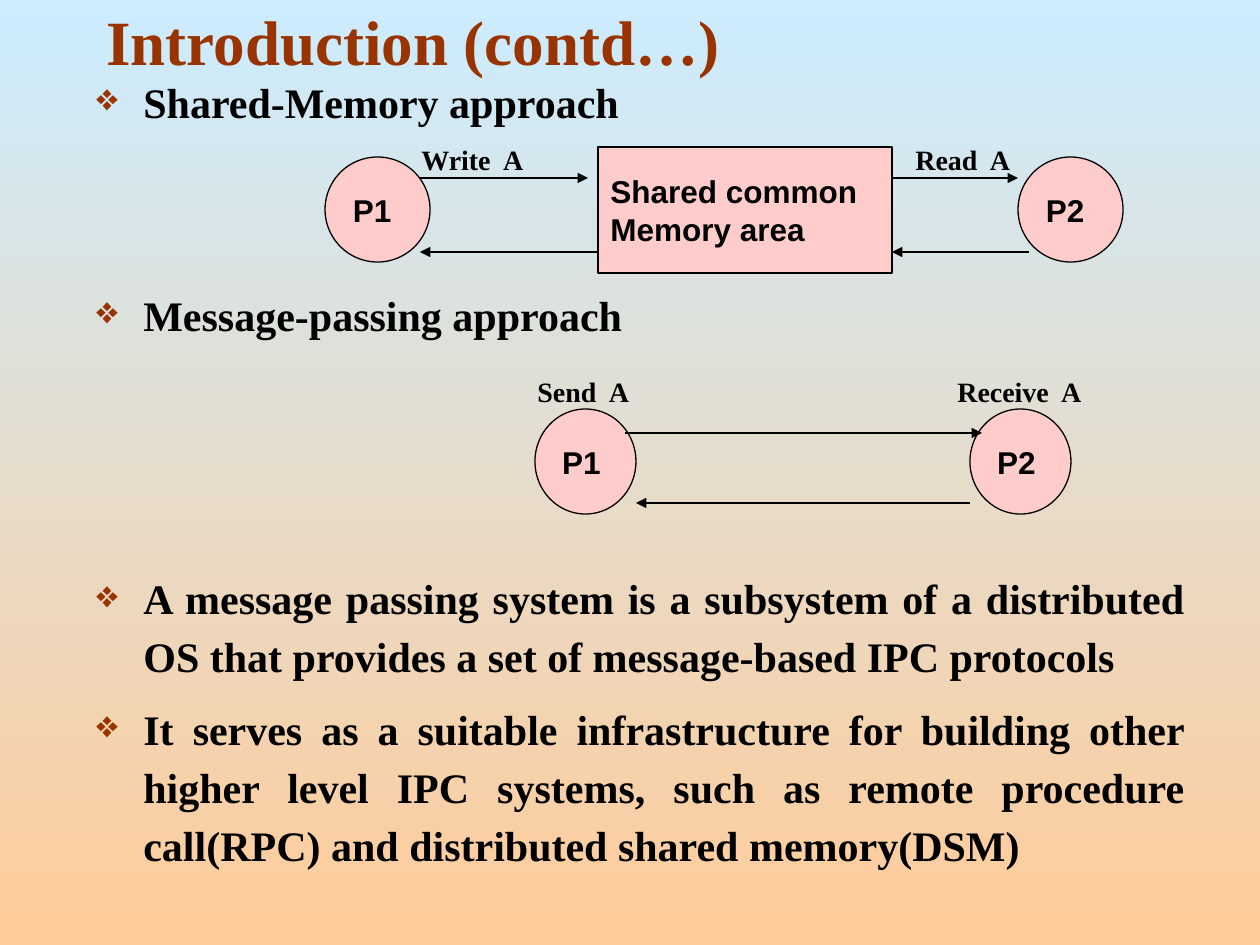
from lxml import etree
from pptx import Presentation, util as u
from pptx.dml.color import RGBColor
from pptx.enum import shapes, text
from pptx.oxml.ns import qn

PX_PER_INCH = 126
COLORS = {
    "sky": "CCECFF",
    "peach": "FFCC99",
    "rust": "993300",
    "pink": "FFCCCC",
    "black": "000000",
}
SERIF, SANS = "Times New Roman", "Arial"
BODY_SIZE = 24
LINE_SPACING = 1.15
BODY_GAP = 0.35 * BODY_SIZE
BLANK_LINE = 40.1  # one body line with its gap, in points


def px(length):
    return u.Emu(round(length * 914400 / PX_PER_INCH))


def rgb(name):
    return RGBColor.from_string(COLORS[name])


def set_background(slide):
    fill = slide.background.fill
    fill.gradient()
    fill.gradient_angle = 270
    for stop, position, name in zip(fill.gradient_stops, (0, 1), ("sky", "peach")):
        stop.position = position
        stop.color.rgb = rgb(name)


def write(paragraph, content, size=BODY_SIZE, font=SERIF, color="black",
          align=text.PP_ALIGN.LEFT):
    paragraph.text = content
    paragraph.alignment = align
    paragraph.font.size = u.Pt(size)
    paragraph.font.name = font
    paragraph.font.bold = True
    paragraph.font.color.rgb = rgb(color)


def add_box(slide, left, top, width, height, anchor=text.MSO_ANCHOR.TOP):
    box = slide.shapes.add_textbox(px(left), px(top), px(width), px(height))
    frame = box.text_frame
    frame.word_wrap = True
    frame.vertical_anchor = anchor
    return frame


def add_label(slide, content, left, top, width):
    write(add_box(slide, left, top, width, 46).paragraphs[0], content, size=16)


def add_bullet(paragraph):
    properties = paragraph._p.get_or_add_pPr()
    properties.set("marL", str(px(47)))
    properties.set("indent", str(-px(47)))
    color = etree.SubElement(properties, qn("a:buClr"))
    etree.SubElement(color, qn("a:srgbClr"), val=COLORS["rust"])
    etree.SubElement(properties, qn("a:buSzPct"), val="90000")
    etree.SubElement(properties, qn("a:buChar"), char="❖")


def add_bullets(frame, items):
    for index, (content, blank_lines) in enumerate(items):
        paragraph = frame.add_paragraph() if index else frame.paragraphs[0]
        add_bullet(paragraph)
        paragraph.line_spacing = LINE_SPACING
        if index:
            paragraph.space_before = u.Pt(round(BODY_GAP + blank_lines * BLANK_LINE, 1))
        write(paragraph, content, align=text.PP_ALIGN.JUSTIFY)


def add_node(slide, kind, lines, left, top, width, height):
    shape = slide.shapes.add_shape(kind, px(left), px(top), px(width), px(height))
    shape.shadow.inherit = False
    shape.fill.solid()
    shape.fill.fore_color.rgb = rgb("pink")
    shape.line.color.rgb = rgb("black")
    shape.line.width = u.Pt(0.75)
    frame = shape.text_frame
    frame.word_wrap = True
    frame.vertical_anchor = text.MSO_ANCHOR.MIDDLE
    for index, line in enumerate(lines):
        paragraph = frame.add_paragraph() if index else frame.paragraphs[0]
        write(paragraph, line, size=18, font=SANS)


def add_arrow(slide, start, end, y):
    arrow = slide.shapes.add_connector(
        shapes.MSO_CONNECTOR.STRAIGHT, px(start), px(y), px(end), px(y))
    arrow.line.color.rgb = rgb("black")
    arrow.line.width = u.Pt(0.75)
    etree.SubElement(arrow.line._get_or_add_ln(), qn("a:tailEnd"), type="triangle")
    etree.SubElement(arrow._element.spPr, qn("a:effectLst"))


def add_shared_memory_diagram(slide):
    for name, left in (("P1", 325), ("P2", 1018)):
        add_node(slide, shapes.MSO_SHAPE.OVAL, [name], left, 157, 105, 105)
    add_node(slide, shapes.MSO_SHAPE.RECTANGLE, ["Shared common", "Memory area"],
             598, 147, 294, 126)
    for start, end, y in ((420, 588, 178), (598, 420, 252),
                          (892, 1018, 178), (1029, 892, 252)):
        add_arrow(slide, start, end, y)
    add_label(slide, "Write  A", 409, 136, 147)
    add_label(slide, "Read  A", 903, 136, 147)


def add_message_passing_diagram(slide):
    for name, left in (("P1", 535), ("P2", 970)):
        add_node(slide, shapes.MSO_SHAPE.OVAL, [name], left, 409, 101, 105)
    add_arrow(slide, 625, 982, 433)
    add_arrow(slide, 970, 636, 503)
    add_label(slide, "Send  A", 525, 368, 147)
    add_label(slide, "Receive  A", 945, 368, 158)


def main():
    presentation = Presentation()
    presentation.slide_width, presentation.slide_height = px(1260), px(945)
    slide = presentation.slides.add_slide(presentation.slide_layouts[6])
    set_background(slide)

    # Title
    title = add_box(slide, 94, 0, 1113, 84, anchor=text.MSO_ANCHOR.BOTTOM)
    write(title.paragraphs[0], "Introduction (contd…)", size=36, color="rust")

    # Bullets, each with the number of lines left free above it for a diagram
    add_bullets(add_box(slide, 84, 63, 1113, 819), [
        ("Shared-Memory approach", 0),
        ("Message-passing approach", 2),
        ("A message passing system is a subsystem of a distributed OS that "
         "provides a set of message-based IPC protocols", 3),
        ("It serves as a suitable infrastructure for building other higher level "
         "IPC systems, such as remote procedure call(RPC) and distributed shared "
         "memory(DSM)", 0),
    ])

    # Diagrams
    add_shared_memory_diagram(slide)
    add_message_passing_diagram(slide)

    presentation.save("out.pptx")


if __name__ == "__main__":
    main()
